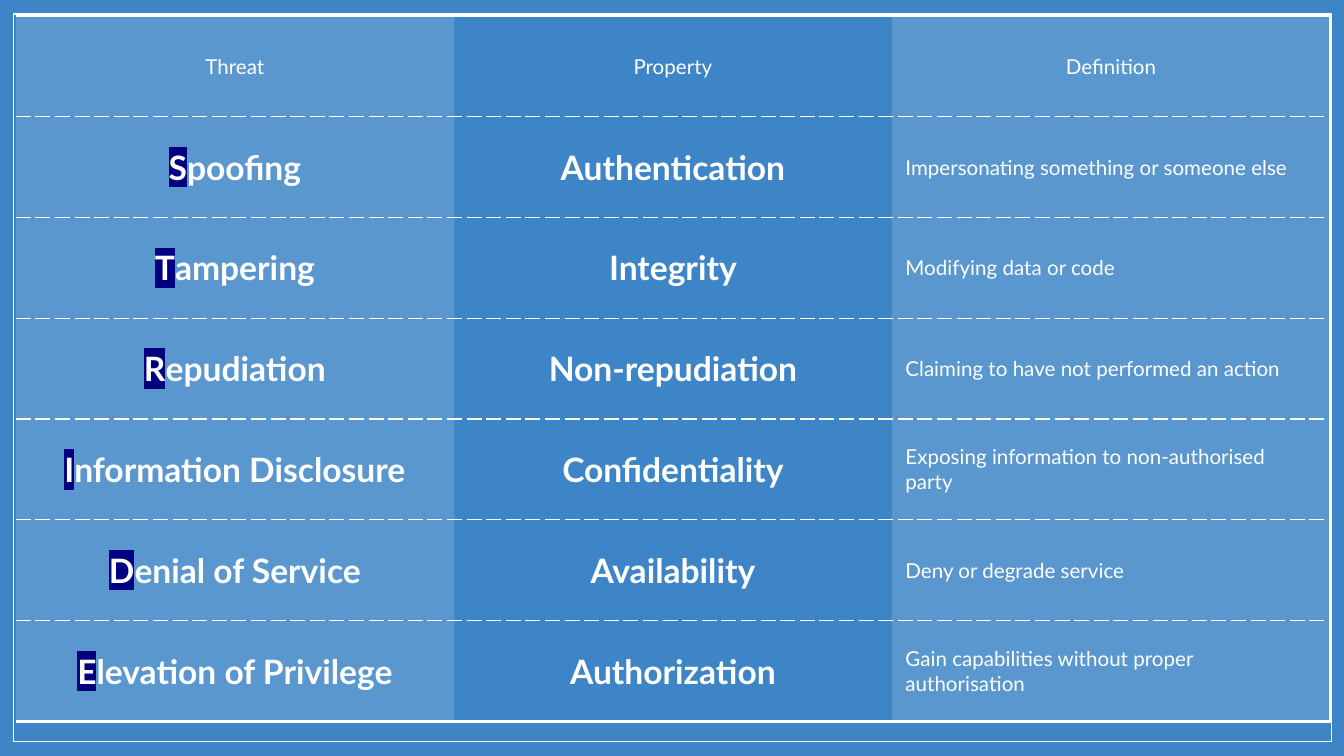
from lxml import etree
from pptx import Presentation
from pptx.dml.color import RGBColor
from pptx.enum.shapes import MSO_SHAPE
from pptx.enum.text import MSO_ANCHOR, PP_ALIGN
from pptx.oxml.ns import qn
from pptx.util import Pt

RECTANGLE = MSO_SHAPE.RECTANGLE
MIDDLE = MSO_ANCHOR.MIDDLE
LEFT, CENTER = PP_ALIGN.LEFT, PP_ALIGN.CENTER

COLORS = {"back": "3D85C6", "white": "FFFFFF", "initial": "000080"}
SMALL = {"name": "Lato", "size": Pt(11), "bold": False}
LARGE = {"name": "Lato", "size": Pt(18), "bold": True}
MARGINS = {"margin_left": Pt(7.2), "margin_right": Pt(7.2),
           "margin_top": Pt(5.4), "margin_bottom": Pt(5.4)}

HEADINGS = ("Threat", "Property", "Definition")
THREATS = (
    ("Spoofing", "Authentication", "Impersonating something or someone else"),
    ("Tampering", "Integrity", "Modifying data or code"),
    ("Repudiation", "Non-repudiation", "Claiming to have not performed an action"),
    ("Information Disclosure", "Confidentiality",
     "Exposing information to non-authorised party"),
    ("Denial of Service", "Availability", "Deny or degrade service"),
    ("Elevation of Privilege", "Authorization",
     "Gain capabilities without proper authorisation"),
)


def color(name):
    return RGBColor.from_string(COLORS[name])


def apply(target, values):
    for key, value in values.items():
        setattr(target, key, value)


class SlideBuilder:
    def __init__(self, deck):
        self.page = deck.slides.add_slide(deck.slide_layouts[6])
        fill = self.page.background.fill
        fill.solid()
        fill.fore_color.rgb = color("back")

    def frame(self, left, top, width, height):
        box = self.page.shapes.add_shape(
            RECTANGLE, Pt(left), Pt(top), Pt(width), Pt(height))
        box.shadow.inherit = False
        box.fill.background()
        box.line.color.rgb = color("white")
        box.line.width = Pt(0.75)

    def table(self, left, top, column_width, row_height, rows, columns):
        table = self.page.shapes.add_table(
            rows, columns, Pt(left), Pt(top),
            Pt(column_width * columns), Pt(row_height * rows)).table
        table.first_row = table.horz_banding = False
        for column in table.columns:
            column.width = Pt(column_width)
        for row in table.rows:
            row.height = Pt(row_height)
        return table

    def span(self, para, text, style, highlight=None):
        span = para.add_run()
        span.text = text
        apply(span.font, style)
        span.font.color.rgb = color("white")
        if highlight:
            mark = etree.Element(qn("a:highlight"))
            etree.SubElement(mark, qn("a:srgbClr"), val=COLORS[highlight])
            span.font._element.find(qn("a:solidFill")).addnext(mark)

    def cell(self, cell, text, style, align, mark_initial=False):
        apply(cell, MARGINS)
        cell.vertical_anchor = MIDDLE
        para = cell.text_frame.paragraphs[0]
        para.alignment = align
        if mark_initial:
            self.span(para, text[0], style, "initial")
            text = text[1:]
        self.span(para, text, style)

    def cell_fill(self, cell, opacity):
        if not opacity:
            cell.fill.background()
            return
        cell.fill.solid()
        cell.fill.fore_color.rgb = color("white")
        tint = cell._tc.tcPr.find(".//" + qn("a:srgbClr"))
        etree.SubElement(tint, qn("a:alpha"), val=str(opacity * 1000))

    def cell_borders(self, cell, borders):
        # Borders come before the fill, in the order left, right, top, bottom
        for index, side in enumerate("LRTB"):
            width, dash = borders.get(side, (0, None))
            line = etree.Element(qn("a:ln" + side), w=str(int(Pt(width))))
            if width:
                paint = etree.SubElement(line, qn("a:solidFill"))
                etree.SubElement(paint, qn("a:srgbClr"), val=COLORS["white"])
                etree.SubElement(line, qn("a:prstDash"), val=dash)
            else:
                etree.SubElement(line, qn("a:noFill"))
            cell._tc.tcPr.insert(index, line)


def main():
    deck = Presentation()
    deck.slide_width, deck.slide_height = Pt(720), Pt(405)
    slide = SlideBuilder(deck)

    # Outer frame
    slide.frame(7.2, 7.6, 706.2, 389.6)

    # Threat table
    rows = (HEADINGS,) + THREATS
    last_row, last_column = len(rows) - 1, len(HEADINGS) - 1
    table = slide.table(8.5, 8.5, 234.7, 54, len(rows), len(HEADINGS))
    outer, divider = (1.5, "solid"), (0.75, "dash")
    for r, texts in enumerate(rows):
        for c, text in enumerate(texts):
            cell = table.cell(r, c)
            definition = r > 0 and c == last_column
            style = SMALL if r == 0 or definition else LARGE
            slide.cell(cell, text, style, LEFT if definition else CENTER,
                       mark_initial=r > 0 and c == 0)
            slide.cell_fill(cell, 0 if c == 1 else 15)
            borders = {"T": outer if r == 0 else divider,
                       "B": outer if r == last_row else divider}
            if c == last_column:
                borders["R"] = outer
            slide.cell_borders(cell, borders)

    deck.save("out.pptx")


if __name__ == "__main__":
    main()
